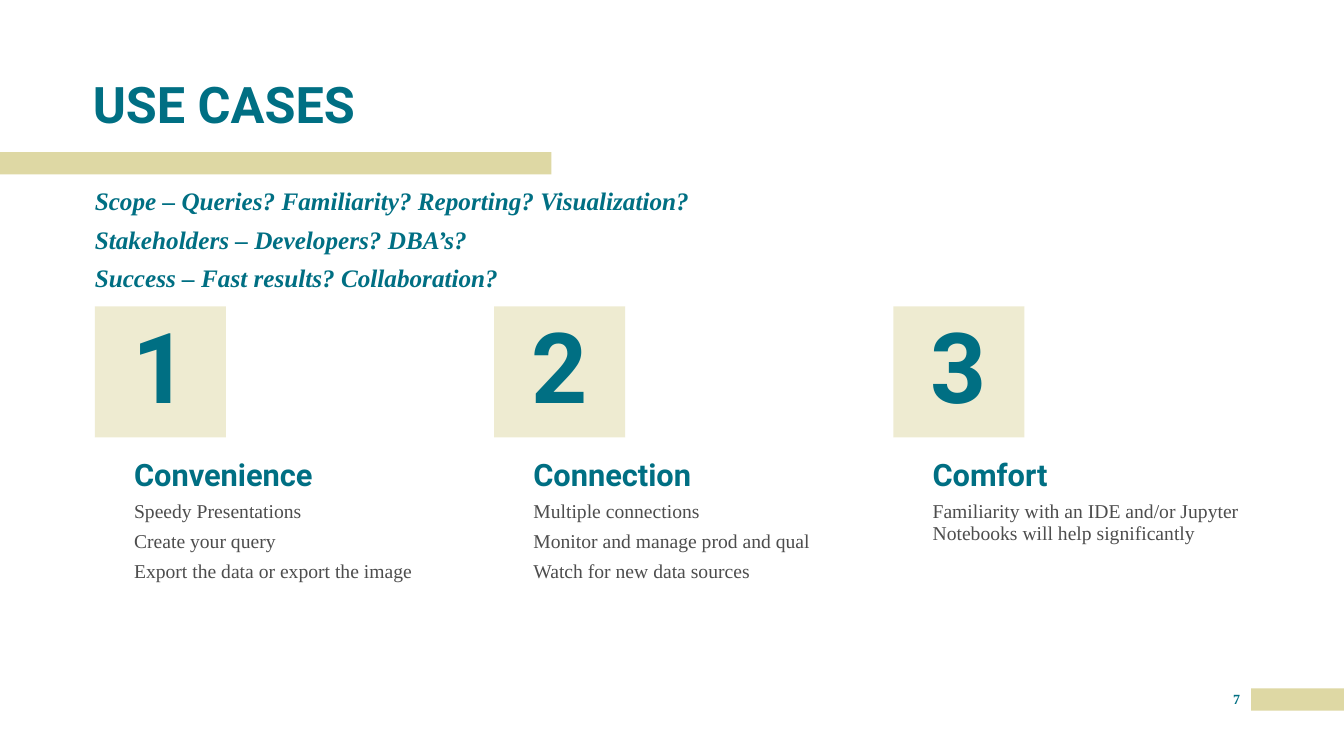
from lxml import etree
from pptx import Presentation
from pptx.dml.color import RGBColor
from pptx.enum.shapes import MSO_SHAPE as SHAPE
from pptx.enum.text import MSO_ANCHOR as ANCHOR, MSO_AUTO_SIZE as AUTO, PP_ALIGN as ALIGN
from pptx.oxml.ns import qn
from pptx.util import Inches, Pt

# Content
TITLE = "USE CASES"
QUESTIONS = [
    "Scope – Queries? Familiarity? Reporting? Visualization?",
    "Stakeholders – Developers? DBA’s?",
    "Success – Fast results? Collaboration?",
]
USE_CASES = [
    ("Convenience", ["Speedy Presentations", "Create your query",
                     "Export the data or export the image"]),
    ("Connection", ["Multiple connections", "Monitor and manage prod and qual",
                    "Watch for new data sources"]),
    ("Comfort", ["Familiarity with an IDE and/or Jupyter Notebooks will help significantly"]),
]
PAGE = "7"

# Style and grid, in inches
TEAL, SAND, GREY = "006F83", "DED8A4", "4D4D4D"
HEAD, BODY = "Roboto", "Times New Roman"
LEFT, PITCH, INDENT = 0.94, 3.96, 0.39
BARS = [(12.41, 6.83, 0.92, 0.22), (0, 1.51, 5.47, 0.22)]


def rgb(color):
    return RGBColor.from_string(color)


def place(sp, box):
    sp.left, sp.top, sp.width, sp.height = (Inches(v) for v in box)


def rect(box, alpha=None):
    sp = slide.shapes.add_shape(SHAPE.RECTANGLE, *(Inches(v) for v in box))
    sp.shadow.inherit = False
    sp.fill.solid()
    sp.fill.fore_color.rgb = rgb(SAND)
    sp.line.fill.background()
    if alpha:
        clr = sp.fill._xPr.find(qn("a:solidFill"))[0]
        etree.SubElement(clr, qn("a:alpha"), val=str(alpha * 1000))
    return sp


def write(sp, lines, size, font, color=TEAL, bold=True, italic=False,
          spacing=0.9, before=0, align=ALIGN.LEFT, anchor=ANCHOR.TOP):
    tf = sp.text_frame
    tf.text = "\n".join(lines)
    tf.word_wrap = True
    tf.auto_size = AUTO.NONE
    tf.vertical_anchor = anchor
    tf.margin_left = tf.margin_top = tf.margin_right = tf.margin_bottom = 0
    for i, p in enumerate(tf.paragraphs):
        # No bullet and no hanging indent
        pPr = p._p.get_or_add_pPr()
        pPr.set("marL", "0")
        pPr.set("indent", "0")
        etree.SubElement(pPr, qn("a:buNone"))
        p.alignment = align
        p.line_spacing = spacing
        p.space_before = Pt(before if i else 0)
        for r in p.runs:
            r.font.size, r.font.name = Pt(size), font
            r.font.bold, r.font.italic = bold, italic
            r.font.color.rgb = rgb(color)


def text(box, lines, size, font, **style):
    sp = slide.shapes.add_textbox(*(Inches(v) for v in box))
    write(sp, lines, size, font, **style)


prs = Presentation()
prs.slide_width, prs.slide_height = Inches(13.33), Inches(7.5)
slide = prs.slides.add_slide(prs.slide_layouts[1])

# Accent bars
for bar in BARS:
    rect(bar)

# Title and opening questions
title, questions = slide.placeholders
place(title, (0.92, 0.68, 8.53, 0.65))
write(title, [TITLE], 36, HEAD, anchor=ANCHOR.BOTTOM)
place(questions, (LEFT, 1.9, 8.53, 1.03))
write(questions, QUESTIONS, 18, BODY, italic=True, spacing=0.8, before=10)

# Numbered use cases
for i, (name, points) in enumerate(USE_CASES):
    x = LEFT + i * PITCH
    tile = rect((x, 3.04, 1.3, 1.3), alpha=50)
    write(tile, [str(i + 1)], 70, HEAD, align=ALIGN.CENTER, anchor=ANCHOR.MIDDLE)
    text((x + INDENT, 4.38, 3.2, 0.51), [name], 22, HEAD, anchor=ANCHOR.BOTTOM)
    text((x + INDENT, 4.98, 3.2, 1.24), points, 14, BODY,
         color=GREY, bold=False, before=6)

# Page number
text((12.12, 6.85, 0.29, 0.25), [PAGE], 10, BODY, spacing=1.0, align=ALIGN.CENTER)

prs.save("out.pptx")
